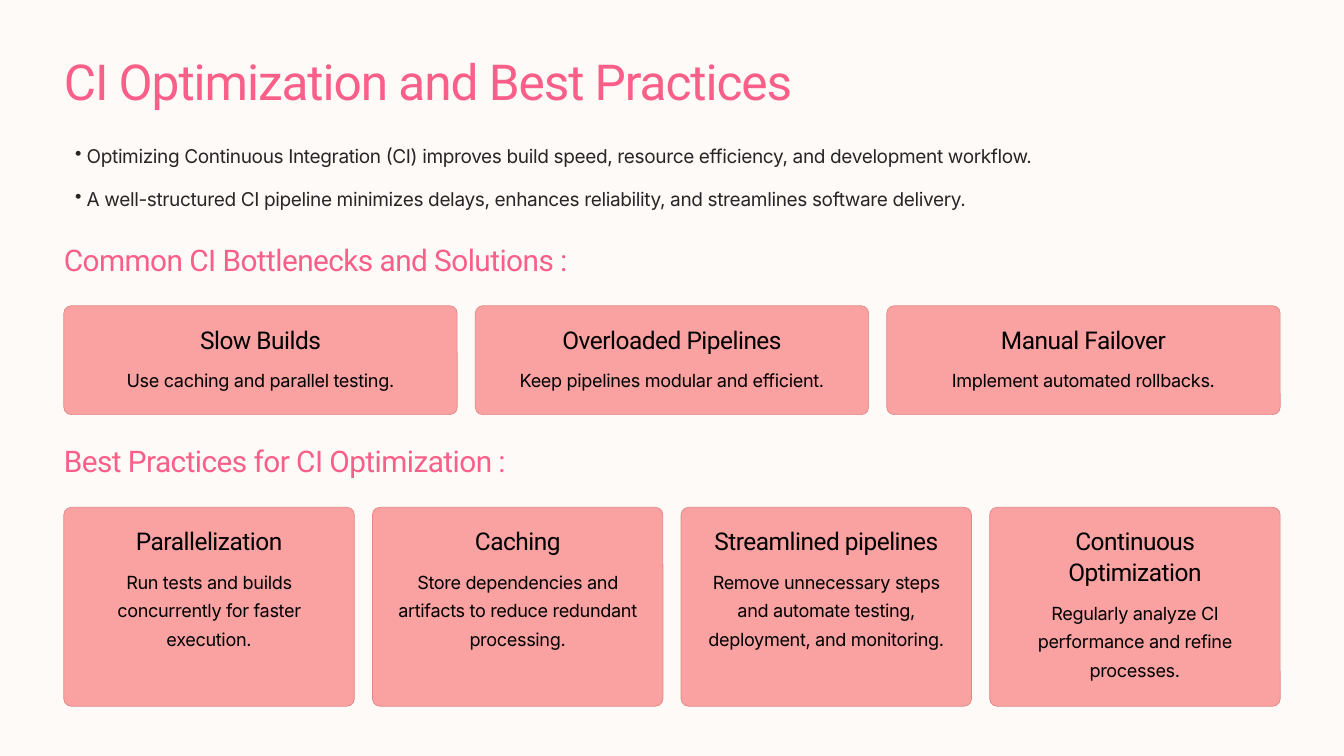
import lxml.etree
import pptx
import pptx.dml.color
import pptx.enum.shapes
import pptx.enum.text
import pptx.oxml.ns
import pptx.util

PX = 9144
MARGIN = 95
CONTENT_WIDTH = 1810
GAP = 27
CARD_PADDING = 28
CARD_RADIUS = 11

COLORS = {
    "background": "FDFAF7",
    "heading": "F95F88",
    "body": "272525",
    "card": "FAA1A1",
    "border": "E08787",
    "card_text": "000000",
}

STYLES = {
    "title": ("Roboto", 53.1, 66.9, -1.1, "heading"),
    "section": ("Roboto", 31.9, 40, -0.6, "heading"),
    "bullet": ("Inter", 20.4, 32.2, -0.4, "body"),
    "card_title": ("Roboto", 26.2, 33.1, -0.5, "card_text"),
    "card_body": ("Inter", 19.4, 30.6, -0.4, "card_text"),
}

BULLETS = [
    "Optimizing Continuous Integration (CI) improves build speed, resource efficiency, and development workflow.",
    "A well-structured CI pipeline minimizes delays, enhances reliability, and streamlines software delivery.",
]

BOTTLENECKS = [
    ("Slow Builds", 1, "Use caching and parallel testing."),
    ("Overloaded Pipelines", 1, "Keep pipelines modular and efficient."),
    ("Manual Failover", 1, "Implement automated rollbacks."),
]

PRACTICES = [
    ("Parallelization", 1, "Run tests and builds concurrently for faster execution."),
    ("Caching", 1, "Store dependencies and artifacts to reduce redundant processing."),
    ("Streamlined pipelines", 1, "Remove unnecessary steps and automate testing, deployment, and monitoring."),
    ("Continuous Optimization", 2, "Regularly analyze CI performance and refine processes."),
]


def px(*lengths):
    return [round(length * PX) for length in lengths]


def rgb(name):
    return pptx.dml.color.RGBColor.from_string(COLORS[name])


class SlideBuilder:
    def __init__(self, slide):
        self.slide = slide
        fill = slide.background.fill
        fill.solid()
        fill.fore_color.rgb = rgb("background")

    def set_text(self, shape, text, style, centered=False, bullet=False):
        font_name, size, line_spacing, letter_spacing, color = STYLES[style]
        frame = shape.text_frame
        frame.word_wrap = True
        frame.auto_size = pptx.enum.text.MSO_AUTO_SIZE.NONE
        frame.vertical_anchor = pptx.enum.text.MSO_ANCHOR.TOP
        frame.margin_left = frame.margin_top = frame.margin_right = frame.margin_bottom = 0
        frame.text = text
        paragraph = frame.paragraphs[0]
        alignment = pptx.enum.text.PP_ALIGN
        paragraph.alignment = alignment.CENTER if centered else alignment.LEFT
        paragraph.line_spacing = pptx.util.Pt(line_spacing)
        if bullet:
            indent, hanging = px(34, -17)
            properties = paragraph._p.get_or_add_pPr()
            properties.set("marL", str(indent))
            properties.set("indent", str(hanging))
            mark = lxml.etree.SubElement(properties, pptx.oxml.ns.qn("a:buChar"))
            mark.set("char", "•")
        font = paragraph.font
        font.name = font_name
        font.size = pptx.util.Pt(size)
        font.color.rgb = rgb(color)
        font._rPr.set("spc", str(round(letter_spacing * 100)))

    def title(self, text, left, top, width, height):
        shape = self.slide.shapes.title
        shape.left, shape.top, shape.width, shape.height = px(left, top, width, height)
        self.set_text(shape, text, "title")

    def text(self, text, style, left, top, width, height, **options):
        shape = self.slide.shapes.add_textbox(*px(left, top, width, height))
        self.set_text(shape, text, style, **options)

    def card(self, heading, heading_lines, body, left, top, width, height):
        shape = self.slide.shapes.add_shape(
            pptx.enum.shapes.MSO_SHAPE.ROUNDED_RECTANGLE, *px(left, top, width, height)
        )
        shape.shadow.inherit = False
        shape.adjustments[0] = CARD_RADIUS / height
        shape.fill.solid()
        shape.fill.fore_color.rgb = rgb("card")
        shape.line.color.rgb = rgb("border")
        shape.line.width = pptx.util.Pt(0.75)
        text_left = left + CARD_PADDING
        text_width = width - 2 * CARD_PADDING
        heading_height = 46 * heading_lines
        body_top = top + 39 + heading_height
        body_height = top + height - body_top - CARD_PADDING
        self.text(heading, "card_title", text_left, top + 26, text_width, heading_height, centered=True)
        self.text(body, "card_body", text_left, body_top, text_width, body_height, centered=True)

    def card_row(self, cards, top, height):
        width = (CONTENT_WIDTH - GAP * (len(cards) - 1)) / len(cards)
        for column, card in enumerate(cards):
            self.card(*card, MARGIN + column * (width + GAP), top, width, height)


def main():
    presentation = pptx.Presentation()
    presentation.slide_width, presentation.slide_height = px(2000, 1125)
    builder = SlideBuilder(presentation.slides.add_slide(presentation.slide_layouts[5]))

    builder.title("CI Optimization and Best Practices", MARGIN, 71, 1137, 96)
    for row, bullet in enumerate(BULLETS):
        builder.text(bullet, "bullet", MARGIN, 204 + 64 * row, CONTENT_WIDTH, 54, bullet=True)

    builder.text("Common CI Bottlenecks and Solutions :", "section", MARGIN, 357, 776, 57)
    builder.card_row(BOTTLENECKS, 455, 162)

    builder.text("Best Practices for CI Optimization :", "section", MARGIN, 657, 682, 57)
    builder.card_row(PRACTICES, 755, 296)

    presentation.save("out.pptx")


if __name__ == "__main__":
    main()
